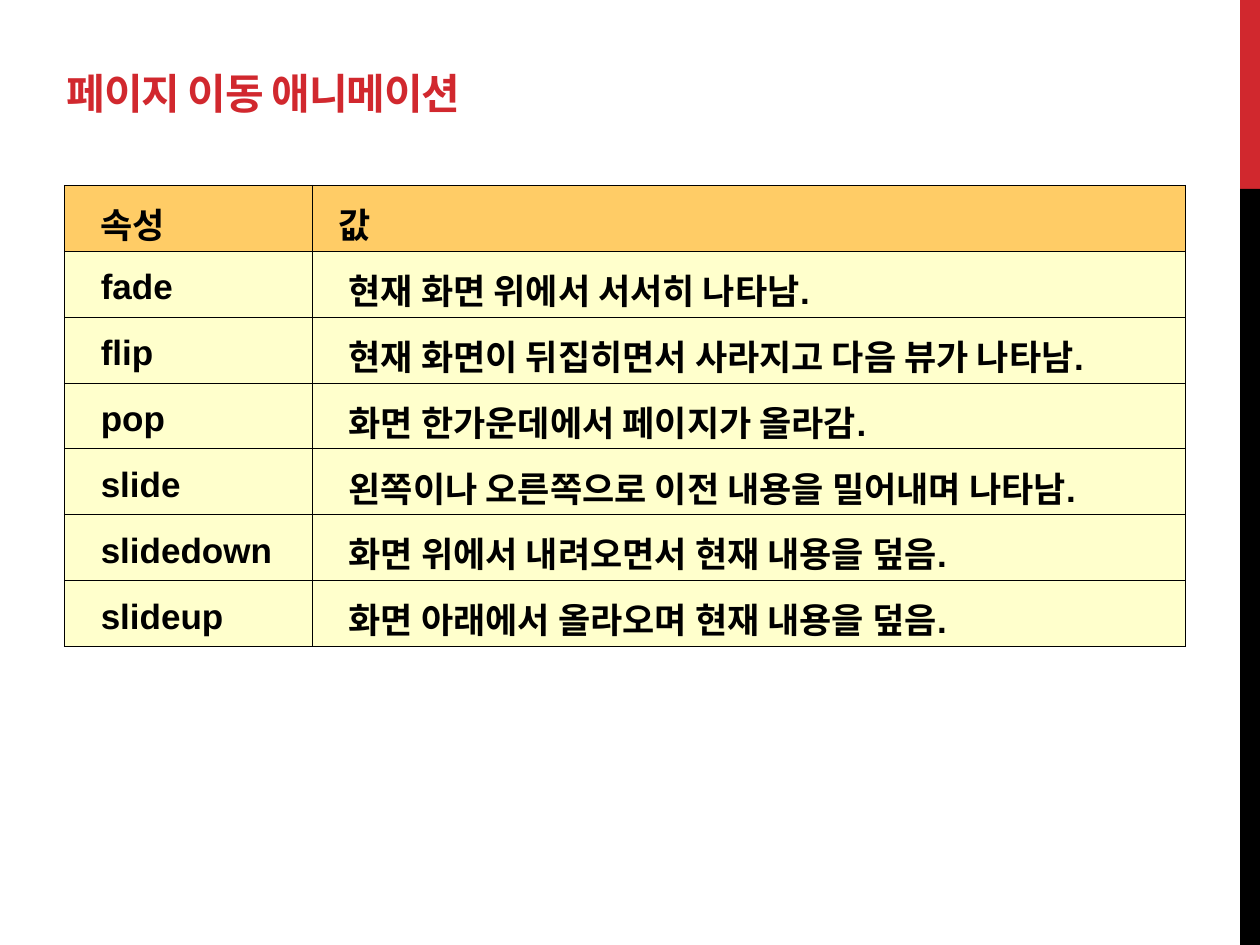
from pptx import Presentation, util as u
from pptx.dml.color import RGBColor
from pptx.enum import shapes, text
from pptx.oxml import parse_xml
from pptx.oxml.ns import nsdecls

TITLE = "페이지 이동 애니메이션"
ROWS = [
    ("속성", "값"),
    ("fade", "현재 화면 위에서 서서히 나타남."),
    ("flip", "현재 화면이 뒤집히면서 사라지고 다음 뷰가 나타남."),
    ("pop", "화면 한가운데에서 페이지가 올라감."),
    ("slide", "왼쪽이나 오른쪽으로 이전 내용을 밀어내며 나타남."),
    ("slidedown", "화면 위에서 내려오면서 현재 내용을 덮음."),
    ("slideup", "화면 아래에서 올라오며 현재 내용을 덮음."),
]
THEME = dict(red="D1282E", black="000000", head="FFCC66", body="FFFFCC",
             title_font="Montserrat", font="Arial", title_size=24, size=20,
             border=0.28)
SLIDE_W, SLIDE_H = 1260, 945
BAR_X, BAR_SPLIT = 1240, 189
TITLE_BOX = (54, 45, 1172, 79)
TABLE_X, TABLE_Y, ROW_H = 64, 185, 47
COL_W = (248, 873)
INDENT, VALUE_HEAD_INDENT = 28, 18


def px(n):
    """Turn pixels into EMU."""
    return u.Emu(round(n * 914400 / 126))


def write(tf, content, *, font, size, color, align, anchor, indent=0,
          line=None, spacing=None):
    """Put one bold, formatted paragraph into a text frame."""
    tf.vertical_anchor = anchor
    p = tf.paragraphs[0]
    p.alignment = align
    if line:
        p.line_spacing = line
    if indent:
        pPr = p._p.get_or_add_pPr()
        pPr.set("marL", "0")
        pPr.set("indent", str(px(indent)))
    r = p.add_run()
    r.text = content
    r.font.name, r.font.size, r.font.bold = font, u.Pt(size), True
    r.font.color.rgb = RGBColor.from_string(color)
    if spacing:
        r._r.get_or_add_rPr().set("spc", str(round(spacing * 100)))


def add_bar(s, top, bottom, color):
    """Draw one part of the band on the right edge."""
    sp = s.shapes.add_shape(shapes.MSO_SHAPE.RECTANGLE, px(BAR_X), px(top),
                            px(SLIDE_W - BAR_X), px(bottom - top))
    sp.shadow.inherit = False
    sp.fill.solid()
    sp.fill.fore_color.rgb = RGBColor.from_string(color)
    sp.line.fill.background()


def add_borders(cell):
    """Give a cell thin lines on all four sides, before its fill."""
    tcPr = cell._tc.get_or_add_tcPr()
    for i, side in enumerate(("lnL", "lnR", "lnT", "lnB")):
        tcPr.insert(i, parse_xml(
            f'<a:{side} {nsdecls("a")} w="{u.Pt(THEME["border"])}">'
            f'<a:solidFill><a:srgbClr val="{THEME["black"]}"/></a:solidFill>'
            f'</a:{side}>'))


def add_property_table(s):
    """Build the table of animation properties."""
    table = s.shapes.add_table(len(ROWS), len(COL_W), px(TABLE_X), px(TABLE_Y),
                               px(sum(COL_W)), px(ROW_H * len(ROWS))).table
    table.first_row = table.horz_banding = False
    for col, width in zip(table.columns, COL_W):
        col.width = px(width)
    for i, row in enumerate(ROWS):
        for j, content in enumerate(row):
            cell = table.cell(i, j)
            cell.margin_left = cell.margin_right = u.Inches(0.07)
            cell.margin_top = cell.margin_bottom = u.Inches(0.02)
            cell.vertical_anchor = text.MSO_ANCHOR.MIDDLE
            cell.fill.solid()
            cell.fill.fore_color.rgb = RGBColor.from_string(
                THEME["body" if i else "head"])
            add_borders(cell)
            write(cell.text_frame, content, font=THEME["font"],
                  size=THEME["size"], color=THEME["black"], line=1.2,
                  align=text.PP_ALIGN.JUSTIFY, anchor=None,
                  indent=VALUE_HEAD_INDENT if (i, j) == (0, 1) else INDENT)


prs = Presentation()
prs.slide_width, prs.slide_height = px(SLIDE_W), px(SLIDE_H)
s = prs.slides.add_slide(prs.slide_layouts[5])

add_bar(s, 0, BAR_SPLIT, THEME["red"])
add_bar(s, BAR_SPLIT, SLIDE_H, THEME["black"])

title = s.shapes.title
title.left, title.top, title.width, title.height = map(px, TITLE_BOX)
title.text_frame.auto_size = text.MSO_AUTO_SIZE.NONE
write(title.text_frame, TITLE, font=THEME["title_font"],
      size=THEME["title_size"], color=THEME["red"], spacing=-0.6,
      align=text.PP_ALIGN.LEFT, anchor=text.MSO_ANCHOR.BOTTOM)

add_property_table(s)
prs.save("out.pptx")
